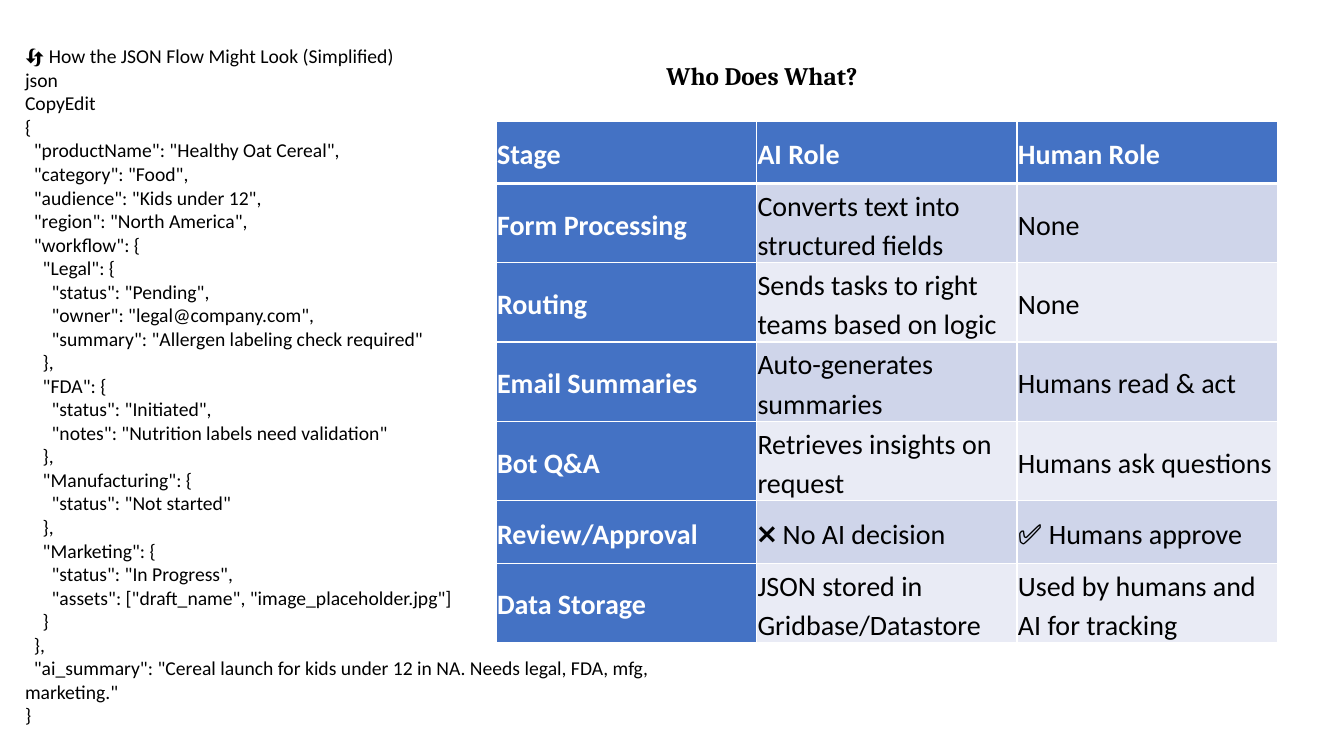
from dataclasses import dataclass

from lxml.etree import SubElement
from pptx import Presentation
from pptx.dml.color import RGBColor
from pptx.enum.text import MSO_ANCHOR, MSO_AUTO_SIZE, PP_ALIGN
from pptx.oxml.ns import qn
from pptx.slide import Slide
from pptx.table import _Cell
from pptx.text.text import TextFrame, _Paragraph
from pptx.util import Inches, Pt

BLUE, BLACK, WHITE = "4472C4", "000000", "FFFFFF"
BANDS = ("CFD5EA", "E9EBF5")

FLOW = """🔄 How the JSON Flow Might Look (Simplified)
json
CopyEdit
{
  "productName": "Healthy Oat Cereal",
  "category": "Food",
  "audience": "Kids under 12",
  "region": "North America",
  "workflow": {
    "Legal": {
      "status": "Pending",
      "owner": "legal@company.com",
      "summary": "Allergen labeling check required"
    },
    "FDA": {
      "status": "Initiated",
      "notes": "Nutrition labels need validation"
    },
    "Manufacturing": {
      "status": "Not started"
    },
    "Marketing": {
      "status": "In Progress",
      "assets": ["draft_name", "image_placeholder.jpg"]
    }
  },
  "ai_summary": "Cereal launch for kids under 12 in NA. Needs legal, FDA, mfg, marketing."
}"""


@dataclass(frozen=True)
class Row:
    """One line of the role table."""

    stage: str
    robot: str
    human: str


@dataclass(frozen=True)
class Style:
    """The look of a run of text."""

    size: int
    font: str = "Calibri"
    tint: str = BLACK
    bold: bool = False


ROWS = (
    Row("Stage", "AI Role", "Human Role"),
    Row("Form Processing", "Converts text into structured fields", "None"),
    Row("Routing", "Sends tasks to right teams based on logic", "None"),
    Row("Email Summaries", "Auto-generates summaries", "Humans read & act"),
    Row("Bot Q&A", "Retrieves insights on request", "Humans ask questions"),
    Row("Review/Approval", "❌ No AI decision", "✅ Humans approve"),
    Row("Data Storage", "JSON stored in Gridbase/Datastore", "Used by humans and AI for tracking"),
)


def color(code: str) -> RGBColor:
    """Turn a hex string into a colour."""
    return RGBColor.from_string(code)


def write(para: _Paragraph, text: str, style: Style) -> None:
    """Add one styled run to a paragraph."""
    run = para.add_run()
    run.text = text
    run.font.size = Pt(style.size)
    run.font.name = style.font
    run.font.bold = style.bold
    run.font.color.rgb = color(style.tint)


def space(para: _Paragraph) -> None:
    """Set the loose spacing used by the title and the table."""
    para.alignment = PP_ALIGN.LEFT
    para.line_spacing = 1.15
    para.space_before = Pt(0)
    para.space_after = Pt(10)


def setup(frame: TextFrame) -> None:
    """Let a frame wrap, start at the top and grow with its text."""
    frame.word_wrap = True
    frame.auto_size = MSO_AUTO_SIZE.SHAPE_TO_FIT_TEXT
    frame.vertical_anchor = MSO_ANCHOR.TOP


def edge(cell: _Cell, side: str, width: float) -> None:
    """Draw one white border of a cell."""
    line = SubElement(cell._tc.get_or_add_tcPr(), qn(f"a:ln{side}"), w=str(Pt(width)))
    fill = SubElement(line, qn("a:solidFill"))
    SubElement(fill, qn("a:srgbClr"), val=WHITE)


def add_title(slide: Slide) -> None:
    """Place and fill the title."""
    title = slide.shapes.title
    title.left, title.top = Inches(6.51), Inches(0.5)
    title.width, title.height = Inches(6.67), Inches(0.42)
    setup(title.text_frame)
    para = title.text_frame.paragraphs[0]
    space(para)
    write(para, "Who Does What?", Style(18, "Cambria", bold=True))


def add_flow(slide: Slide) -> None:
    """Place the JSON listing, one paragraph a line."""
    box = slide.shapes.add_textbox(Inches(0.15), Inches(0.39), Inches(6.67), Inches(6.93))
    frame = box.text_frame
    setup(frame)
    for num, line in enumerate(FLOW.splitlines()):
        para = frame.add_paragraph() if num else frame.paragraphs[0]
        write(para, line, Style(14))


def fill_cell(cell: _Cell, text: str, row: int, col: int) -> None:
    """Format and fill one cell by its place in the table."""
    head = row == 0 or col == 0
    cell.margin_left = cell.margin_right = Inches(0.01)
    cell.margin_top = cell.margin_bottom = Inches(0.01)
    cell.vertical_anchor = MSO_ANCHOR.MIDDLE
    for side in "LRTB":
        thick = (row, side) in ((0, "B"), (1, "T"))
        edge(cell, side, 3 if thick else 1)
    cell.fill.solid()
    cell.fill.fore_color.rgb = color(BLUE if head else BANDS[(row - 1) % 2])
    para = cell.text_frame.paragraphs[0]
    space(para)
    write(para, text, Style(20, tint=WHITE if head else BLACK, bold=head))


def add_roles(slide: Slide) -> None:
    """Build the table of stages and roles."""
    high = Inches(0.62)
    shape = slide.shapes.add_table(
        len(ROWS), 3, Inches(4.92), Inches(1.2), Inches(7.75), high * len(ROWS)
    )
    for num, row in enumerate(ROWS):
        shape.table.rows[num].height = high
        for col, text in enumerate((row.stage, row.robot, row.human)):
            fill_cell(shape.table.cell(num, col), text, num, col)


def main() -> None:
    """Build the slide and save it."""
    deck = Presentation()
    deck.slide_width, deck.slide_height = Inches(13.33), Inches(7.5)
    slide = deck.slides.add_slide(deck.slide_layouts[5])
    add_flow(slide)
    add_title(slide)
    add_roles(slide)
    deck.save("out.pptx")


if __name__ == "__main__":
    main()
